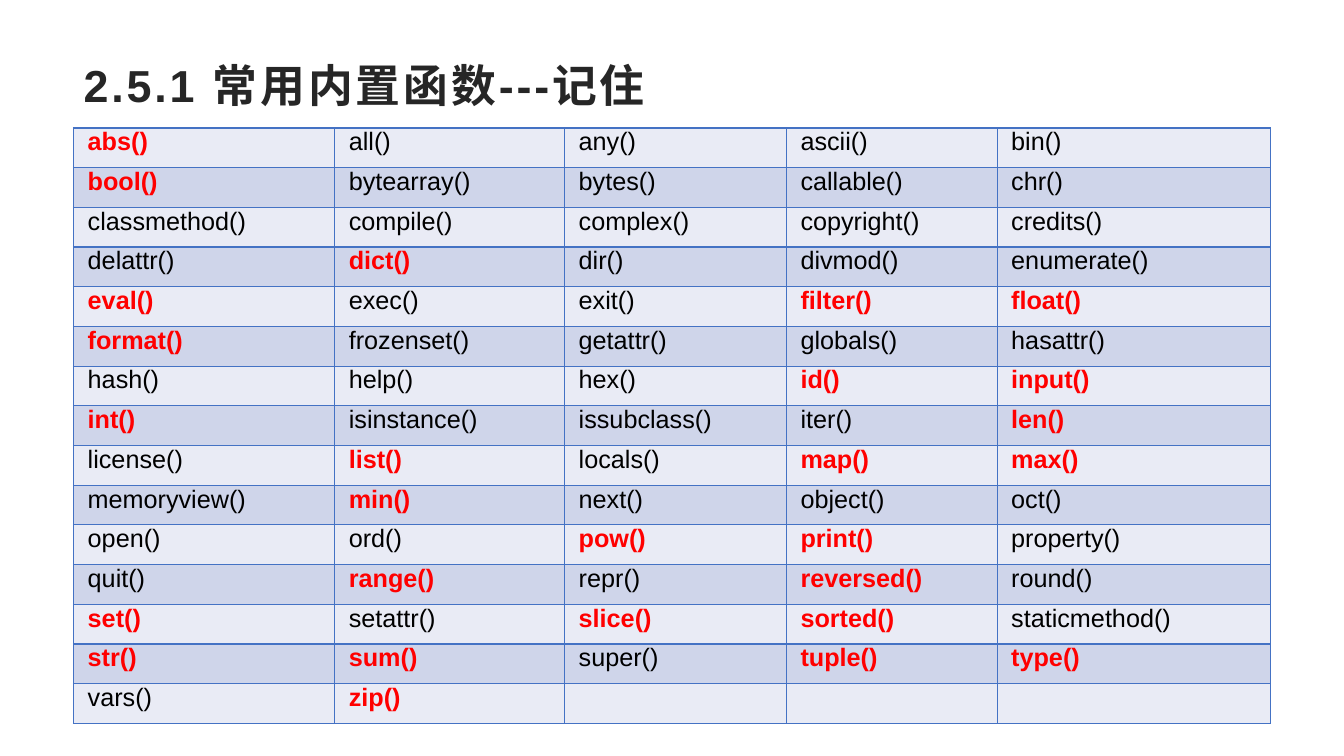
from dataclasses import dataclass

from lxml import etree
from pptx import Presentation
from pptx.dml.color import RGBColor
from pptx.enum.text import MSO_ANCHOR, PP_ALIGN
from pptx.oxml.ns import qn
from pptx.util import Inches, Pt

LEFT = PP_ALIGN.LEFT
TOP = MSO_ANCHOR.TOP
MIDDLE = MSO_ANCHOR.MIDDLE
TITLE_ONLY = 5


@dataclass(frozen=True)
class Theme:
    font: str = "Arial"
    title_size: int = 32
    cell_size: int = 18
    title: str = "262626"
    text: str = "000000"
    key: str = "FF0000"
    border: str = "4472C4"
    bands: tuple = ("E9EBF5", "CFD5EA")


THEME = Theme()

COLUMN_WIDTHS = (2.59, 2.28, 2.2, 2.09, 2.71)
TABLE_HEIGHT = 5.91

FUNCTIONS = """
abs all any ascii bin
bool bytearray bytes callable chr
classmethod compile complex copyright credits
delattr dict dir divmod enumerate
eval exec exit filter float
format frozenset getattr globals hasattr
hash help hex id input
int isinstance issubclass iter len
license list locals map max
memoryview min next object oct
open ord pow print property
quit range repr reversed round
set setattr slice sorted staticmethod
str sum super tuple type
vars zip
""".split()

KEY_FUNCTIONS = set("""
abs bool dict eval filter float format id input int len list map max min
pow print range reversed set slice sorted str sum tuple type zip
""".split())


def add_span(para, text, size, color, bold):
    span = para.add_run()
    span.text = text
    span.font.name = THEME.font
    span.font.size = Pt(size)
    span.font.bold = bold
    span.font.color.rgb = RGBColor.from_string(color)
    return span


def add_title(page, text):
    box = page.shapes.title
    box.left, box.top = Inches(0.73), Inches(0.48)
    box.width, box.height = Inches(11.87), Inches(0.78)
    frame = box.text_frame
    frame.word_wrap = True
    frame.vertical_anchor = MIDDLE
    para = frame.paragraphs[0]
    para.alignment = LEFT
    para.line_spacing = 0.9
    span = add_span(para, text, THEME.title_size, THEME.title, True)
    span.font._element.set("spc", "200")


def set_borders(cell):
    """Draw a 1 pt line on all four sides; call before the cell is filled."""
    properties = cell._tc.get_or_add_tcPr()
    for side in ("a:lnL", "a:lnR", "a:lnT", "a:lnB"):
        line = etree.SubElement(properties, qn(side), w=str(Pt(1)))
        fill = etree.SubElement(line, qn("a:solidFill"))
        etree.SubElement(fill, qn("a:srgbClr"), val=THEME.border)


def format_cell(cell, band):
    set_borders(cell)
    cell.fill.solid()
    cell.fill.fore_color.rgb = RGBColor.from_string(band)
    cell.margin_left = cell.margin_right = 0
    cell.margin_top = cell.margin_bottom = 0
    cell.vertical_anchor = TOP
    para = cell.text_frame.paragraphs[0]
    para.font.size = Pt(THEME.cell_size)
    para._p.get_or_add_pPr().set("indent", str(Inches(0.14)))


def add_function_table(page):
    column_count = len(COLUMN_WIDTHS)
    row_count = -(-len(FUNCTIONS) // column_count)
    table = page.shapes.add_table(
        row_count, column_count, Inches(0.73), Inches(1.27),
        Inches(sum(COLUMN_WIDTHS)), Inches(TABLE_HEIGHT)).table
    for column, width in zip(table.columns, COLUMN_WIDTHS):
        column.width = Inches(width)
    for index, cell in enumerate(table.iter_cells()):
        row = index // column_count
        format_cell(cell, THEME.bands[row % 2])
        if index < len(FUNCTIONS):
            name = FUNCTIONS[index]
            is_key = name in KEY_FUNCTIONS
            add_span(cell.text_frame.paragraphs[0], f"{name}()",
                     THEME.cell_size, THEME.key if is_key else THEME.text, is_key)


def main():
    deck = Presentation()
    deck.slide_width, deck.slide_height = Inches(13.33), Inches(7.5)
    page = deck.slides.add_slide(deck.slide_layouts[TITLE_ONLY])
    add_title(page, "2.5.1 常用内置函数---记住")
    add_function_table(page)
    deck.save("out.pptx")


if __name__ == "__main__":
    main()
